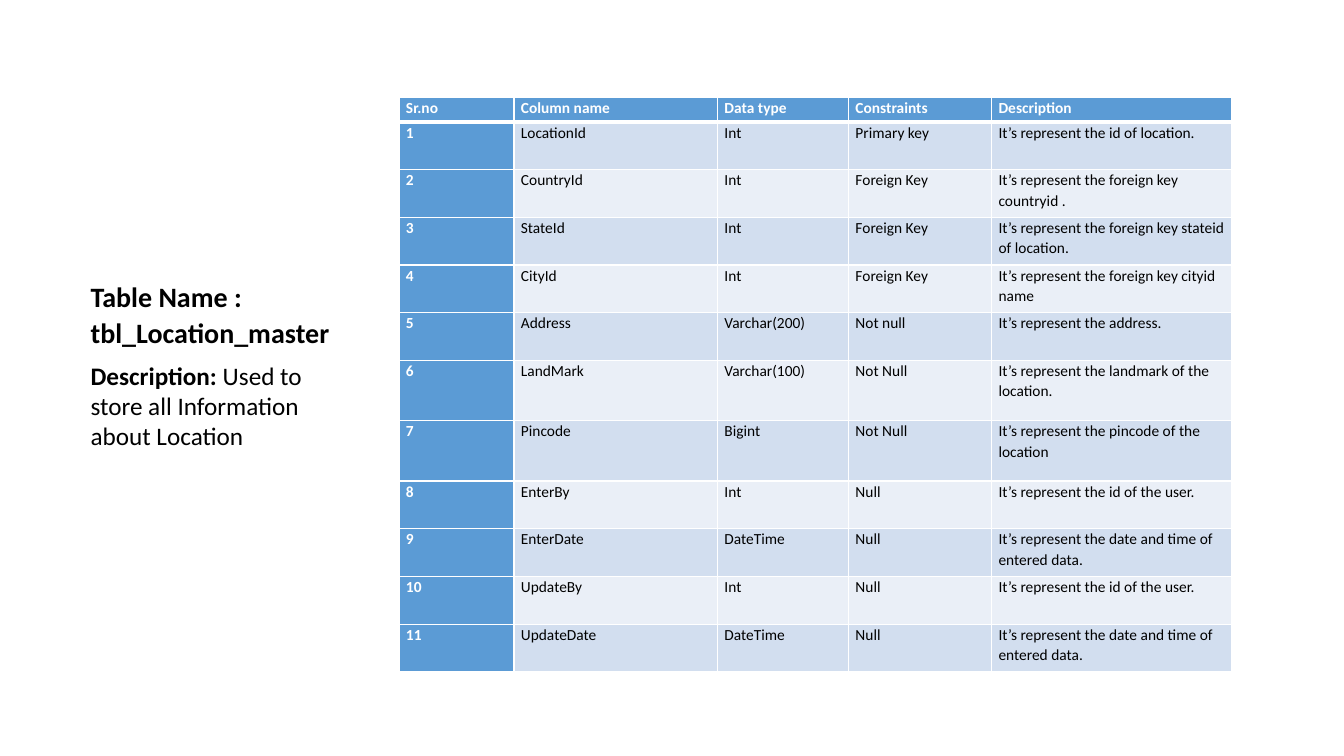
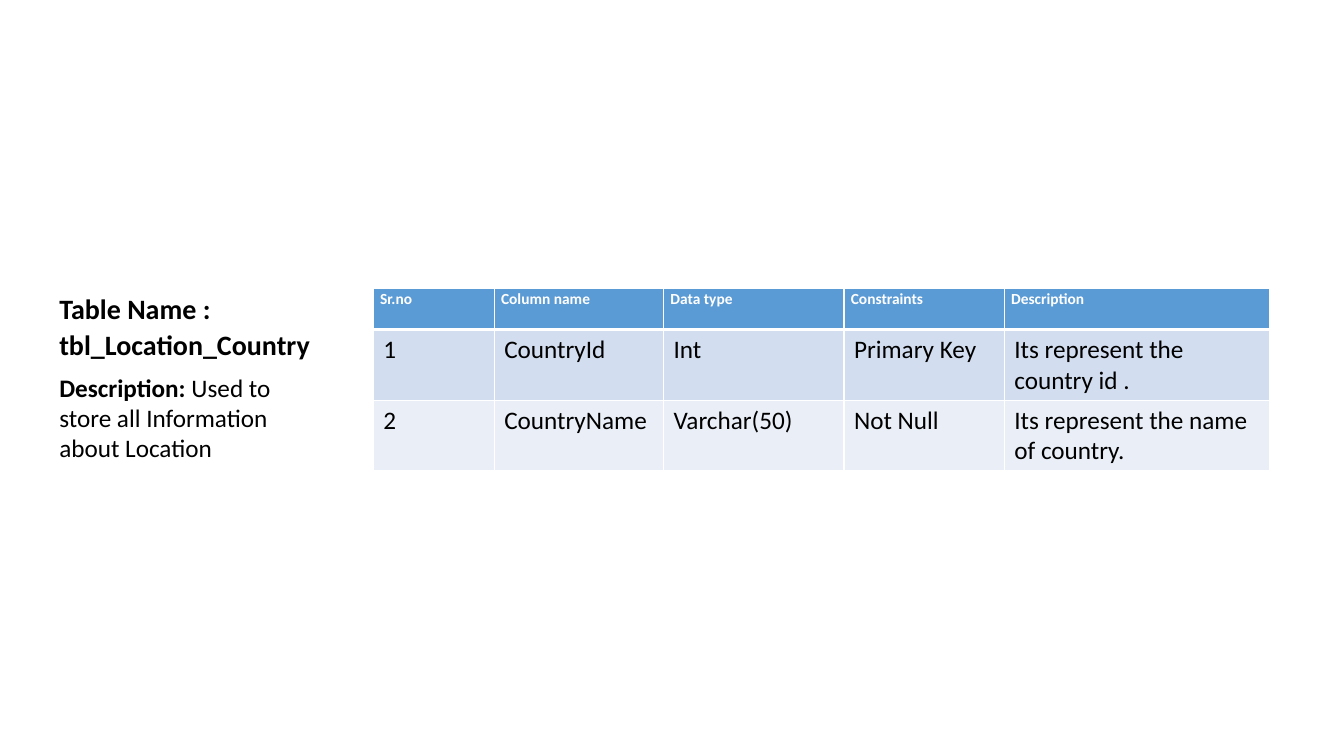
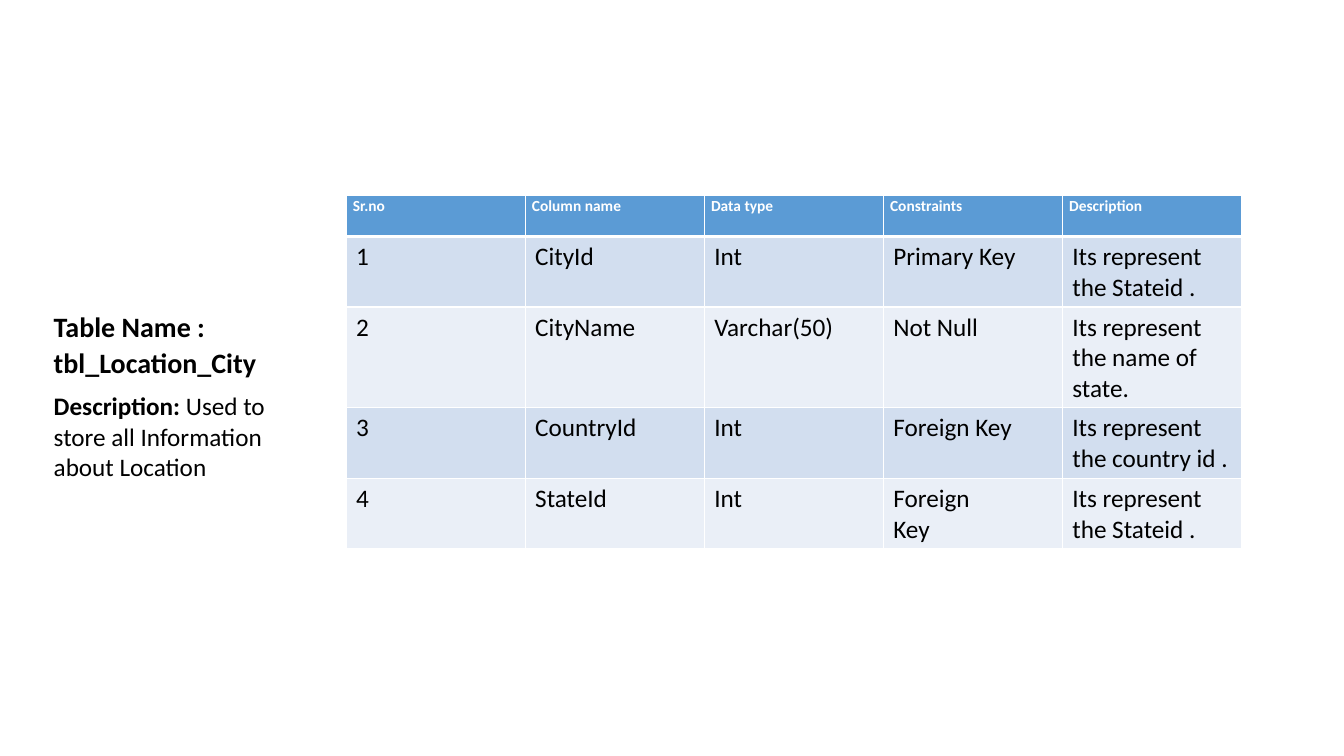
"""Build three slides, each describing one location table of a database."""
from dataclasses import dataclass

import lxml.etree
import pptx
import pptx.dml.color
import pptx.enum.text
import pptx.oxml.ns
import pptx.slide
import pptx.table
import pptx.text.text
import pptx.util

Pt = pptx.util.Pt
RGBColor = pptx.dml.color.RGBColor

FONT = "Calibri"
BLACK = RGBColor(0x00, 0x00, 0x00)
WHITE = RGBColor(0xFF, 0xFF, 0xFF)
BLUE = RGBColor(0x5B, 0x9B, 0xD5)
BANDS = (RGBColor(0xD2, 0xDE, 0xEF), RGBColor(0xEA, 0xEF, 0xF7))
HEADS = ("Sr.no", "Column name", "Data type", "Constraints", "Description")
LOOSE = 1.07


@dataclass(frozen=True)
class Look:
    size: float
    tight: bool
    lead: bool


@dataclass(frozen=True)
class Page:
    name: str
    note: tuple[float, float, float]
    left: float
    top: float
    cols: tuple[float, ...]
    heights: tuple[float, ...]
    look: Look
    rows: tuple[tuple[str, str, str, str], ...]


DENSE = Look(11, True, True)
LARGE = Look(18, False, False)

PAGES = (
    Page(
        "tbl_Location_master", (57.6, 194.4, 187.9), 285.1, 69.8,
        (82.1, 145.4, 93.6, 102.2, 171.4),
        (17.3, *[34.1] * 5, *[43.1] * 2, *[34.1] * 4),
        DENSE,
        (
            ("LocationId", "Int", "Primary key", "It’s represent the id of location."),
            ("CountryId", "Int", "Foreign Key", "It’s represent the foreign key countryid ."),
            ("StateId", "Int", "Foreign Key", "It’s represent the foreign key stateid of location."),
            ("CityId", "Int", "Foreign Key", "It’s represent the foreign key cityid name"),
            ("Address", "Varchar(200)", "Not null", "It’s represent the address."),
            ("LandMark", "Varchar(100)", "Not Null", "It’s represent the landmark of the location."),
            ("Pincode", "Bigint", "Not Null", "It’s represent the pincode of the location"),
            ("EnterBy", "Int", "Null", "It’s represent the id of the user."),
            ("EnterDate", "DateTime", "Null", "It’s represent the date and time of entered data."),
            ("UpdateBy", "Int", "Null", "It’s represent the id of the user."),
            ("UpdateDate", "DateTime", "Null", "It’s represent the date and time of entered data."),
        ),
    ),
    Page(
        "tbl_Location_Country", (35.3, 203, 197.3), 266.6, 206.2,
        (86.4, 121, 128.9, 114.5, 189.4), (29.2,) * 3,
        LARGE,
        (
            ("CountryId", "Int", "Primary Key", "Its represent the country id ."),
            ("CountryName", "Varchar(50)", "Not Null", "Its represent the name of country."),
        ),
    ),
    Page(
        "tbl_Location_City", (31.3, 216.2, 197.3), 247.2, 139.7,
        (127.9,) * 5, (29.2,) * 5,
        LARGE,
        (
            ("CityId", "Int", "Primary Key", "Its represent the Stateid ."),
            ("CityName", "Varchar(50)", "Not Null", "Its represent the name of state."),
            ("CountryId", "Int", "Foreign Key", "Its represent the country id ."),
            ("StateId", "Int", "Foreign\nKey", "Its represent the Stateid ."),
        ),
    ),
)


def set_font(para: pptx.text.text._Paragraph, size: float, tint: RGBColor) -> None:
    """Set the face, size and colour of a paragraph."""
    font = para.font
    font.name, font.size = FONT, Pt(size)
    font.color.rgb = tint


def add_edge(cell: pptx.table._Cell, side: str, width: float) -> None:
    """Draw one white border of a cell."""
    props = cell._tc.get_or_add_tcPr()
    qn = pptx.oxml.ns.qn
    line = lxml.etree.SubElement(props, qn(f"a:ln{side}"), w=str(Pt(width)))
    fill = lxml.etree.SubElement(line, qn("a:solidFill"))
    lxml.etree.SubElement(fill, qn("a:srgbClr"), val=str(WHITE))


def fill_cell(cell: pptx.table._Cell, text: str, row: int, col: int, look: Look) -> None:
    """Write and style one cell by its place in the table."""
    head = row == 0
    strong = head or (look.lead and col == 0)
    tight = head or look.tight
    for side in "LRTB":
        thick = (row, side) in ((0, "B"), (1, "T"))
        add_edge(cell, side, 3 if thick else 1)
    cell.fill.solid()
    cell.fill.fore_color.rgb = BLUE if strong else BANDS[(row - 1) % 2]
    if tight:
        cell.margin_left = cell.margin_right = Pt(4.9)
        cell.margin_top = cell.margin_bottom = Pt(0)
    cell.text = text
    for para in cell.text_frame.paragraphs:
        if tight:
            para.line_spacing = LOOSE
        set_font(para, DENSE.size if head else look.size, WHITE if strong else BLACK)
        para.font.bold = strong


def add_grid(slide: pptx.slide.Slide, page: Page) -> None:
    """Add the table of a page."""
    table = slide.shapes.add_table(
        len(page.heights), len(page.cols), Pt(page.left), Pt(page.top),
        Pt(sum(page.cols)), Pt(sum(page.heights)),
    ).table
    table.horz_banding = False
    table.first_col = page.look.lead
    for col, width in zip(table.columns, page.cols):
        col.width = Pt(width)
    for row, height in zip(table.rows, page.heights):
        row.height = Pt(height)
    body = [(str(num), *row) for num, row in enumerate(page.rows, 1)]
    for y, row in enumerate([HEADS, *body]):
        for x, text in enumerate(row):
            fill_cell(table.cell(y, x), text, y, x, page.look)


def add_note(slide: pptx.slide.Slide, page: Page) -> None:
    """Add the table name and its purpose beside the table."""
    left, top, width = page.note
    frame = slide.shapes.add_textbox(Pt(left), Pt(top), Pt(width), Pt(132.5)).text_frame
    frame.word_wrap = True
    frame.auto_size = pptx.enum.text.MSO_AUTO_SIZE.SHAPE_TO_FIT_TEXT
    title = frame.paragraphs[0]
    title.text = f"Table Name : {page.name}"
    title.line_spacing, title.space_after = LOOSE, Pt(8)
    set_font(title, 20, BLACK)
    title.font.bold = True
    about = frame.add_paragraph()
    set_font(about, 18, BLACK)
    label = about.add_run()
    label.text = "Description:"
    label.font.bold = True
    about.add_run().text = " Used to store all Information about Location"


def main() -> None:
    """Build and save the deck."""
    deck = pptx.Presentation()
    deck.slide_width, deck.slide_height = Pt(960), Pt(540)
    for page in PAGES:
        slide = deck.slides.add_slide(deck.slide_layouts[6])
        add_note(slide, page)
        add_grid(slide, page)
    deck.save("out.pptx")


if __name__ == "__main__":
    main()
